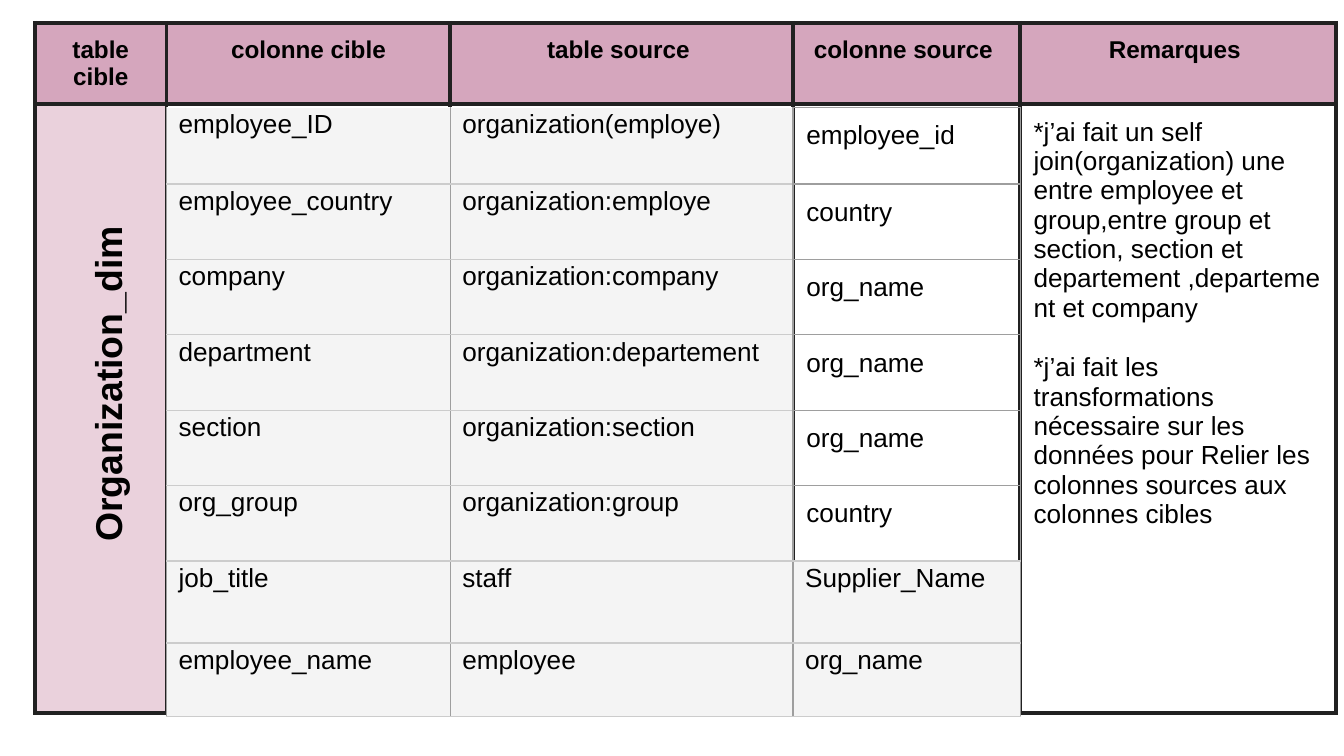
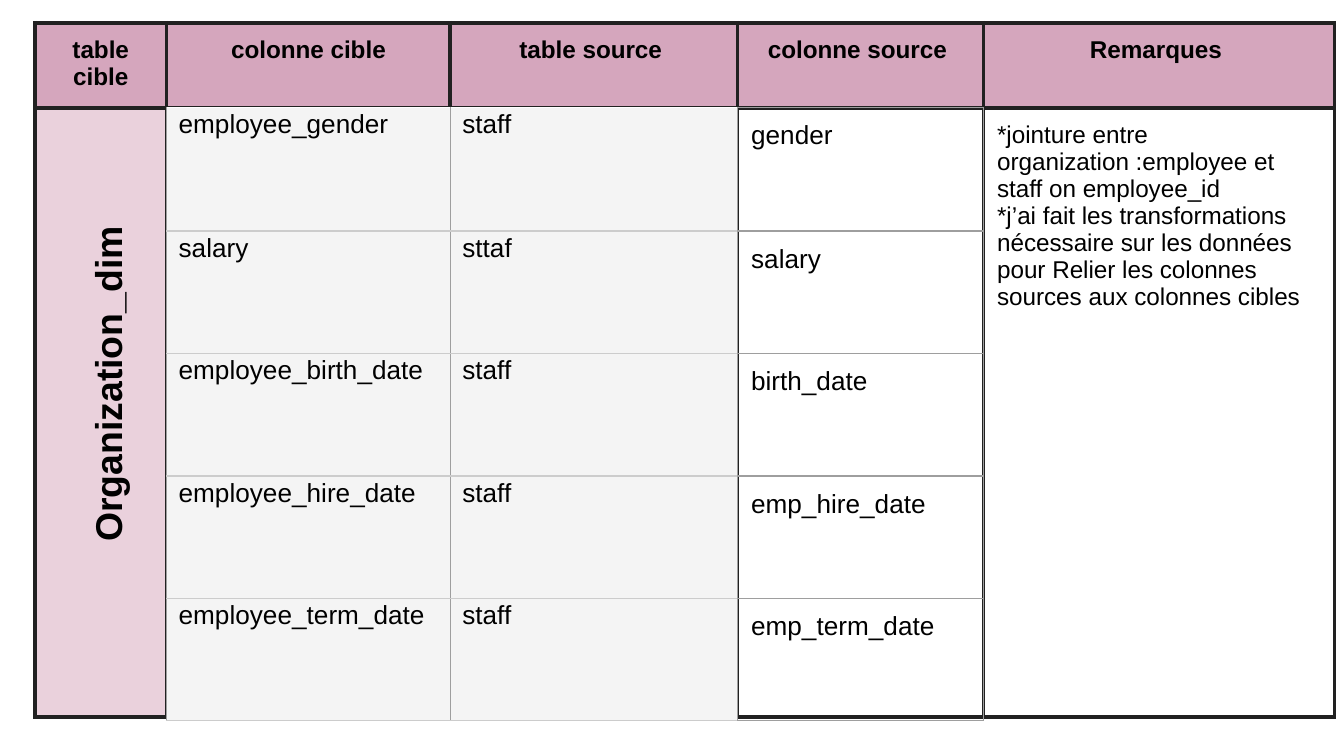
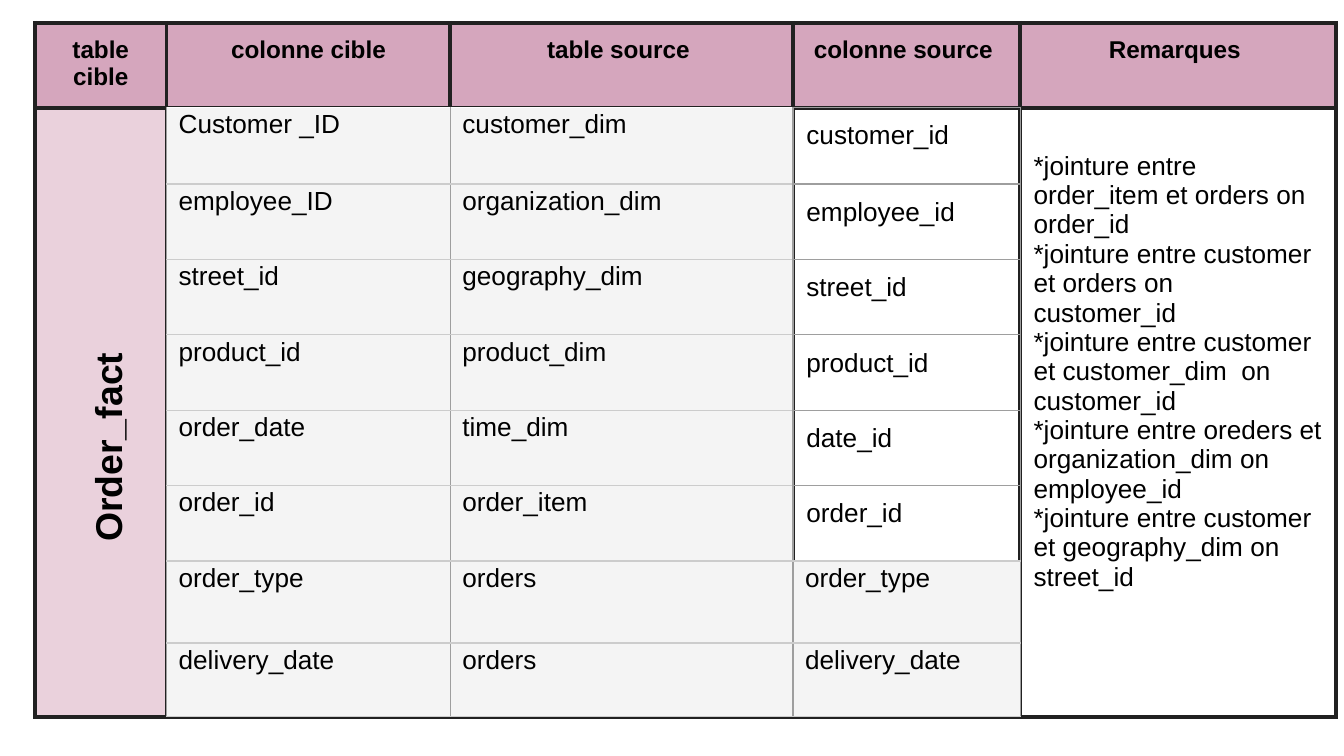
from dataclasses import dataclass

import pptx
import pptx.dml.color
import pptx.enum.text
import pptx.oxml.ns
import pptx.util
from lxml import etree

Pt = pptx.util.Pt

HEADERS = ["table cible", "colonne cible", "table source ", "colonne source ", "Remarques "]

TRANSFORMATIONS = ("*j’ai fait les transformations nécessaire sur les données "
                   "pour Relier les colonnes sources aux colonnes cibles")

WIDE_SOURCE = [70.5, 152, 183.6, 121.7, 169.2]
WIDE_REMARKS = [70.5, 152, 154, 131.8, 188]
EIGHT_ROWS = [41] + [40.4] * 5 + [43.9, 39.6]
FIVE_ROWS = [66.2] + [65.6] * 4

# "plain_rows" counts the leading rows whose source column is unshaded.
MAPPINGS = [
    {
        "target": "Organization_dim",
        "widths": WIDE_SOURCE, "heights": EIGHT_ROWS, "plain_rows": 6,
        "rows": [
            ("employee_ID", "organization(employe)", "employee_id"),
            ("employee_country", "organization:employe", "country"),
            ("company", "organization:company", "org_name"),
            ("department", "organization:departement", "org_name"),
            ("section", "organization:section", "org_name"),
            ("org_group", "organization:group", "country"),
            ("job_title", "staff", "Supplier_Name"),
            ("employee_name", "employee", "org_name"),
        ],
        "remarks": [
            "*j’ai fait un self join(organization) une entre employee et group,"
            "entre group et section, section et departement ,departement et company",
            TRANSFORMATIONS,
        ],
        "remark_size": 14, "remark_gap": 16.1, "remark_top": 7.2,
    },
    {
        "target": "Organization_dim",
        "widths": WIDE_REMARKS, "heights": FIVE_ROWS, "plain_rows": 5,
        "rows": [
            ("employee_gender", "staff", "gender"),
            ("salary", "sttaf", "salary"),
            ("employee_birth_date", "staff", "birth_date"),
            ("employee_hire_date", "staff", "emp_hire_date"),
            ("employee_term_date", "staff", "emp_term_date"),
        ],
        "remarks": [
            "*jointure entre organization :employee et staff on employee_id",
            TRANSFORMATIONS,
        ],
        "remark_size": 13, "remark_gap": 0, "remark_top": 7.2,
    },
    {
        "target": "Order_fact",
        "widths": WIDE_SOURCE, "heights": EIGHT_ROWS, "plain_rows": 6,
        "rows": [
            ("Customer _ID", "customer_dim", "customer_id"),
            ("employee_ID", "organization_dim", "employee_id"),
            ("street_id", "geography_dim", "street_id"),
            ("product_id", "product_dim", "product_id"),
            ("order_date", "time_dim", "date_id"),
            ("order_id", "order_item", "order_id"),
            ("order_type", "orders", "order_type"),
            ("delivery_date", "orders", "delivery_date"),
        ],
        "remarks": [
            "*jointure entre order_item et orders on order_id",
            "*jointure entre customer et orders on customer_id",
            "*jointure entre customer et customer_dim  on customer_id",
            "*jointure entre oreders et organization_dim on employee_id",
            "*jointure entre customer et geography_dim on street_id",
        ],
        "remark_size": 14, "remark_gap": 0, "remark_top": 23.3,
    },
]


@dataclass(frozen=True)
class Theme:
    font: str = "Arial"
    text: str = "000000"
    header: str = "D5A6BD"
    target: str = "EAD1DC"
    shaded: str = "F4F4F4"
    frame: str = "212121"
    grid: str = "9E9E9E"
    row_line: str = "CCCCCC"
    white: str = "FFFFFF"
    header_size: float = 13
    body_size: float = 14
    target_size: float = 20
    frame_width: float = 2.25
    grid_width: float = 0.75


THEME = Theme()
FRAME_LEFT, FRAME_TOP = 18.7, 12.2
FRAME_HEIGHTS = [31, 326.2]
GRID_TOP = 57.6
PADDED = (7.2, 7.2, 7.2, 7.2)
TIGHT = (6.5, 1.4, 6.5, 1.4)


def style_paragraph(p, size, bold=False):
    p.font.name = THEME.font
    p.font.size = Pt(size)
    p.font.bold = bold
    p.font.color.rgb = pptx.dml.color.RGBColor.from_string(THEME.text)


def set_borders(cell, colors, width):
    """Draw the cell's edges; colors run left, right, top, bottom."""
    tc_pr = cell._tc.get_or_add_tcPr()
    qn = pptx.oxml.ns.qn
    for i, (side, color) in enumerate(zip("LRTB", colors)):
        ln = etree.Element(qn(f"a:ln{side}"), w=str(Pt(width)))
        fill = etree.SubElement(ln, qn("a:solidFill"))
        etree.SubElement(fill, qn("a:srgbClr"), val=color)
        tc_pr.insert(i, ln)


def style_cell(cell, fill, borders, width, margins=PADDED):
    cell.margin_left, cell.margin_top, cell.margin_right, cell.margin_bottom = map(Pt, margins)
    if fill:
        cell.fill.solid()
        cell.fill.fore_color.rgb = pptx.dml.color.RGBColor.from_string(fill)
    else:
        cell.fill.background()
    set_borders(cell, borders, width)


def add_table(s, left, top, widths, heights):
    table = s.shapes.add_table(len(heights), len(widths), Pt(left), Pt(top),
                               Pt(sum(widths)), Pt(sum(heights))).table
    table.first_row = table.horz_banding = False
    for column, width in zip(table.columns, widths):
        column.width = Pt(width)
    for row, height in zip(table.rows, heights):
        row.height = Pt(height)
    return table


def add_frame(s, mapping):
    """Add the outer table: headers, target band and remarks."""
    table = add_table(s, FRAME_LEFT, FRAME_TOP, mapping["widths"], FRAME_HEIGHTS)
    for c, header in enumerate(HEADERS):
        head, body = table.cell(0, c), table.cell(1, c)
        style_cell(head, THEME.header, [THEME.frame] * 4, THEME.frame_width)
        style_cell(body, None if c else THEME.target, [THEME.frame] * 4, THEME.frame_width)
        p = head.text_frame.paragraphs[0]
        p.text = header
        p.alignment = pptx.enum.text.PP_ALIGN.CENTER
        style_paragraph(p, THEME.header_size, bold=True)

    remarks = table.cell(1, len(HEADERS) - 1)
    remarks.margin_top = Pt(mapping["remark_top"])
    tf = remarks.text_frame
    for i, remark in enumerate(mapping["remarks"]):
        p = tf.add_paragraph() if i else tf.paragraphs[0]
        p.text = remark
        style_paragraph(p, mapping["remark_size"])
        if i and mapping["remark_gap"]:
            p.space_before = Pt(mapping["remark_gap"])


def add_target_name(s, name):
    sp = s.shapes.add_textbox(Pt(-40.3), Pt(180), Pt(195.8), Pt(38.9))
    sp.rotation = 270
    tf = sp.text_frame
    tf.word_wrap = True
    tf.auto_size = pptx.enum.text.MSO_AUTO_SIZE.SHAPE_TO_FIT_TEXT
    tf.margin_left = tf.margin_top = tf.margin_right = tf.margin_bottom = Pt(7.2)
    tf.text = name
    style_paragraph(tf.paragraphs[0], THEME.target_size, bold=True)


def add_column_grid(s, mapping):
    """Add the inner table that maps target columns to their sources."""
    widths, rows, plain_rows = mapping["widths"], mapping["rows"], mapping["plain_rows"]
    table = add_table(s, FRAME_LEFT + widths[0], GRID_TOP, widths[1:4], mapping["heights"])
    for r, row in enumerate(rows):
        for c, text in enumerate(row):
            cell = table.cell(r, c)
            if c == 2 and r < plain_rows:
                meets_shaded = r == plain_rows - 1 and plain_rows < len(rows)
                top, bottom = THEME.grid, THEME.row_line if meets_shaded else THEME.grid
                fill, margins = None, PADDED
            else:
                top, bottom = THEME.row_line if r else THEME.white, THEME.row_line
                fill, margins = THEME.shaded, TIGHT
            style_cell(cell, fill, (THEME.grid, THEME.grid, top, bottom),
                       THEME.grid_width, margins)
            cell.text = text
            style_paragraph(cell.text_frame.paragraphs[0], THEME.body_size)


def main():
    prs = pptx.Presentation()
    prs.slide_width, prs.slide_height = Pt(720), Pt(405)
    blank = prs.slide_layouts[6]
    for mapping in MAPPINGS:
        s = prs.slides.add_slide(blank)
        add_frame(s, mapping)
        add_target_name(s, mapping["target"])
        add_column_grid(s, mapping)
    prs.save("out.pptx")


if __name__ == "__main__":
    main()
